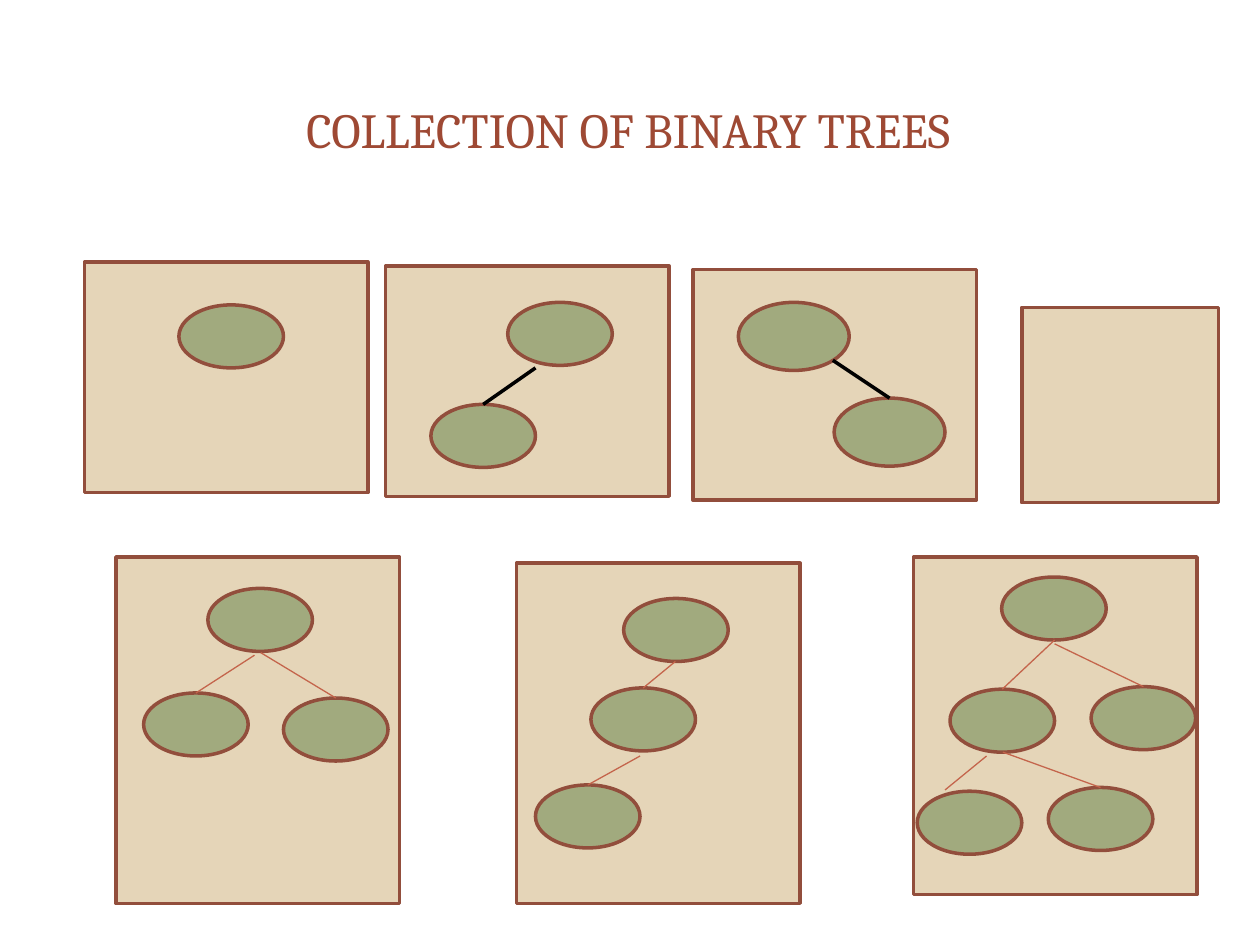
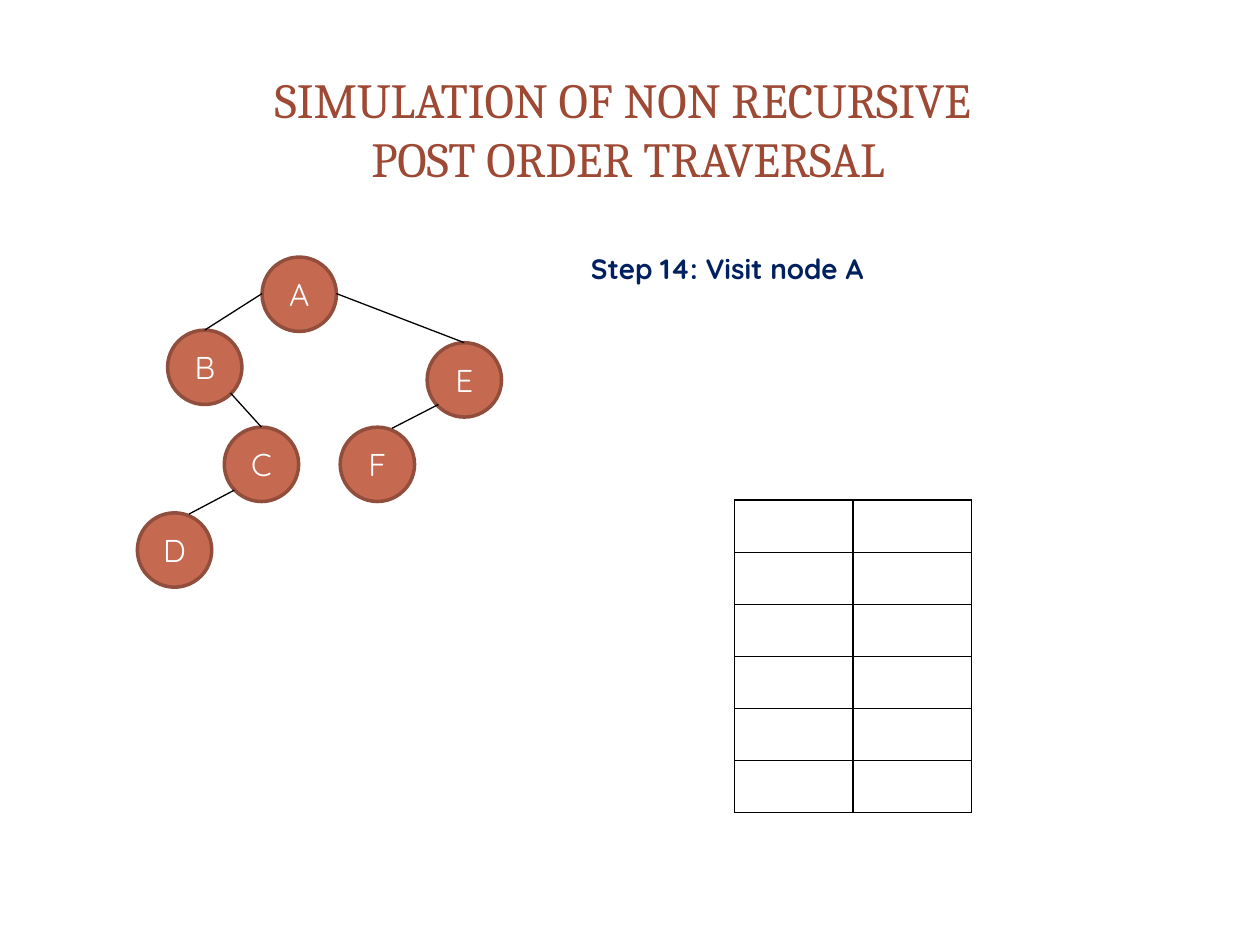
from pptx import Presentation
from pptx.dml.color import RGBColor
from pptx.enum import shapes, text
from pptx.oxml.ns import qn
from pptx.util import Inches, Pt
from lxml import etree

BROWN, SAND, SAGE = "924E3C", "E5D5B8", "A1AA7E"
RUST, CORAL, BLACK, WHITE = "C66951", "C4654C", "000000", "FFFFFF"
TITLE = dict(size=Pt(28), name="Cambria", color="9E4934")
LABEL = dict(size=Pt(18), name="Quicksand", color=WHITE)
STEP = dict(size=Pt(16), name="Quicksand", color="002060", bold=True)
THICK, THIN = (BLACK, 2), (BLACK, 0.75)
BRANCH = (CORAL, 0.75)


def rgb(value):
    return RGBColor.from_string(value)


def style_font(font, formats):
    for key, value in formats.items():
        if key == "color":
            font.color.rgb = rgb(value)
        else:
            setattr(font, key, value)


def write(sp, words, formats, align, anchor, margins):
    tf = sp.text_frame
    tf.word_wrap = True
    tf.vertical_anchor = anchor
    for side, value in zip(("left", "top", "right", "bottom"), margins):
        setattr(tf, f"margin_{side}", Inches(value))
    p = tf.paragraphs[0]
    p.alignment = align
    for i, line in enumerate(words.split("\n")):
        if i:
            p.add_line_break()
        r = p.add_run()
        r.text = line
        style_font(r.font, formats)


def add_text(slide, box, words, formats, align, anchor, margins):
    sp = slide.shapes.add_textbox(*map(Inches, box))
    write(sp, words, formats, align, anchor, margins)


def add_outlined(slide, kind, box, fill):
    sp = slide.shapes.add_shape(kind, *map(Inches, box))
    sp.shadow.inherit = False
    sp.fill.solid()
    sp.fill.fore_color.rgb = rgb(fill)
    sp.line.color.rgb = rgb(BROWN)
    sp.line.width = Pt(2)
    return sp


def add_edge(slide, start, end, line):
    color, width = line
    c = slide.shapes.add_connector(shapes.MSO_CONNECTOR.STRAIGHT,
                                   *map(Inches, (*start, *end)))
    c.line.color.rgb = rgb(color)
    c.line.width = Pt(width)
    etree.SubElement(c._element.spPr, qn("a:effectLst"))
    return c


def add_title(slide, words):
    add_text(slide, (0.47, 0.45, 9.03, 1.14), words, TITLE,
             text.PP_ALIGN.CENTER, text.MSO_ANCHOR.MIDDLE, (0.1, 0.05, 0.1, 0.05))


def add_tree(slide, box, nodes, edges, size, fill, line, labels=""):
    """Nodes and edges are offsets in the box; an edge ends at a node's top or at a point."""
    left, top = box[:2]
    drawn = []
    for i, (x, y) in enumerate(nodes):
        sp = add_outlined(slide, shapes.MSO_SHAPE.OVAL, (left + x, top + y, *size), fill)
        if labels:
            write(sp, labels[i], LABEL, text.PP_ALIGN.CENTER,
                  text.MSO_ANCHOR.MIDDLE, (0, 0, 0, 0))
        drawn.append(sp)
    for (x, y), target in edges:
        start = left + x, top + y
        if isinstance(target, int):
            add_edge(slide, start, start, line).end_connect(drawn[target], 0)
        else:
            add_edge(slide, start, (left + target[0], top + target[1]), line)


def add_panel(slide, box, nodes=(), edges=(), size=(0.83, 0.5), line=BRANCH):
    add_outlined(slide, shapes.MSO_SHAPE.RECTANGLE, box, SAND)
    add_tree(slide, box, nodes, edges, size, SAGE, line)


def add_stack_table(slide, box, rows, cols):
    tbl = slide.shapes.add_table(rows, cols, *map(Inches, box)).table
    tbl.first_row = tbl.horz_banding = False
    for row in tbl.rows:
        row.height = Inches(box[3] / rows)
    for cell in tbl.iter_cells():
        cell.fill.background()
        tc_pr = cell._tc.get_or_add_tcPr()
        for i, side in enumerate(("lnL", "lnR", "lnT", "lnB")):
            ln = etree.Element(qn(f"a:{side}"), w=str(Pt(1)))
            solid = etree.SubElement(ln, qn("a:solidFill"))
            etree.SubElement(solid, qn("a:srgbClr"), val=BLACK)
            tc_pr.insert(i, ln)


def collection_slide(slide):
    add_title(slide, "COLLECTION OF BINARY TREES")

    # Upper row: one node, left child, right child, empty tree
    add_panel(slide, (0.67, 2.08, 2.25, 1.83), [(0.75, 0.34)])
    add_panel(slide, (3.06, 2.11, 2.25, 1.83), [(0.97, 0.29), (0.36, 1.1)],
              [((1.19, 0.81), 1)], line=THICK)
    add_panel(slide, (5.5, 2.14, 2.25, 1.83), [(0.36, 0.26), (1.12, 1.02)],
              [((1.11, 0.72), 1)], size=(0.88, 0.54), line=THICK)
    add_panel(slide, (8.11, 2.44, 1.56, 1.55))

    # Lower row: two children, left chain, five nodes
    add_panel(slide, (0.92, 4.42, 2.25, 2.75),
              [(0.73, 0.25), (0.22, 1.08), (1.33, 1.12)],
              [((1.1, 0.78), 1), ((1.15, 0.76), 2)])
    add_panel(slide, (4.1, 4.47, 2.25, 2.7),
              [(0.85, 0.28), (0.59, 0.99), (0.15, 1.76)],
              [((1.26, 0.78), 1), ((0.98, 1.53), 2)])
    add_panel(slide, (7.25, 4.42, 2.25, 2.68),
              [(0.7, 0.16), (0.29, 1.05), (1.41, 1.03), (0.03, 1.86), (1.07, 1.83)],
              [((1.12, 0.66), 1), ((1.12, 0.69), 2),
               ((0.58, 1.58), (0.25, 1.85)), ((0.71, 1.55), 4)])


def traversal_slide(slide):
    add_title(slide, "SIMULATION OF NON RECURSIVE \nPOST ORDER TRAVERSAL")

    # Labelled tree
    add_tree(slide, (1.09, 2.04),
             [(0.99, 0), (0.24, 0.58), (0.69, 1.35), (0, 2.03), (2.3, 0.68), (1.61, 1.35)],
             [((0.99, 0.29), 1), ((1.58, 0.29), 4), ((0.74, 1.08), 2),
              ((0.77, 1.85), (0.41, 2.04)), ((2.39, 1.17), (2.02, 1.36))],
             (0.59, 0.59), RUST, THIN, labels="ABCDEF")

    # Empty stack and current step
    add_stack_table(slide, (5.83, 3.97, 1.88, 2.48), 6, 2)
    add_text(slide, (4.47, 1.95, 5.2, 0.69), "Step 14: Visit node A", STEP,
             text.PP_ALIGN.LEFT, text.MSO_ANCHOR.TOP, (0.22, 0.05, 0.1, 0.05))


def main():
    prs = Presentation()
    prs.slide_width, prs.slide_height = Inches(10), Inches(7.5)
    for build in (collection_slide, traversal_slide):
        build(prs.slides.add_slide(prs.slide_layouts[6]))
    prs.save("out.pptx")


if __name__ == "__main__":
    main()
